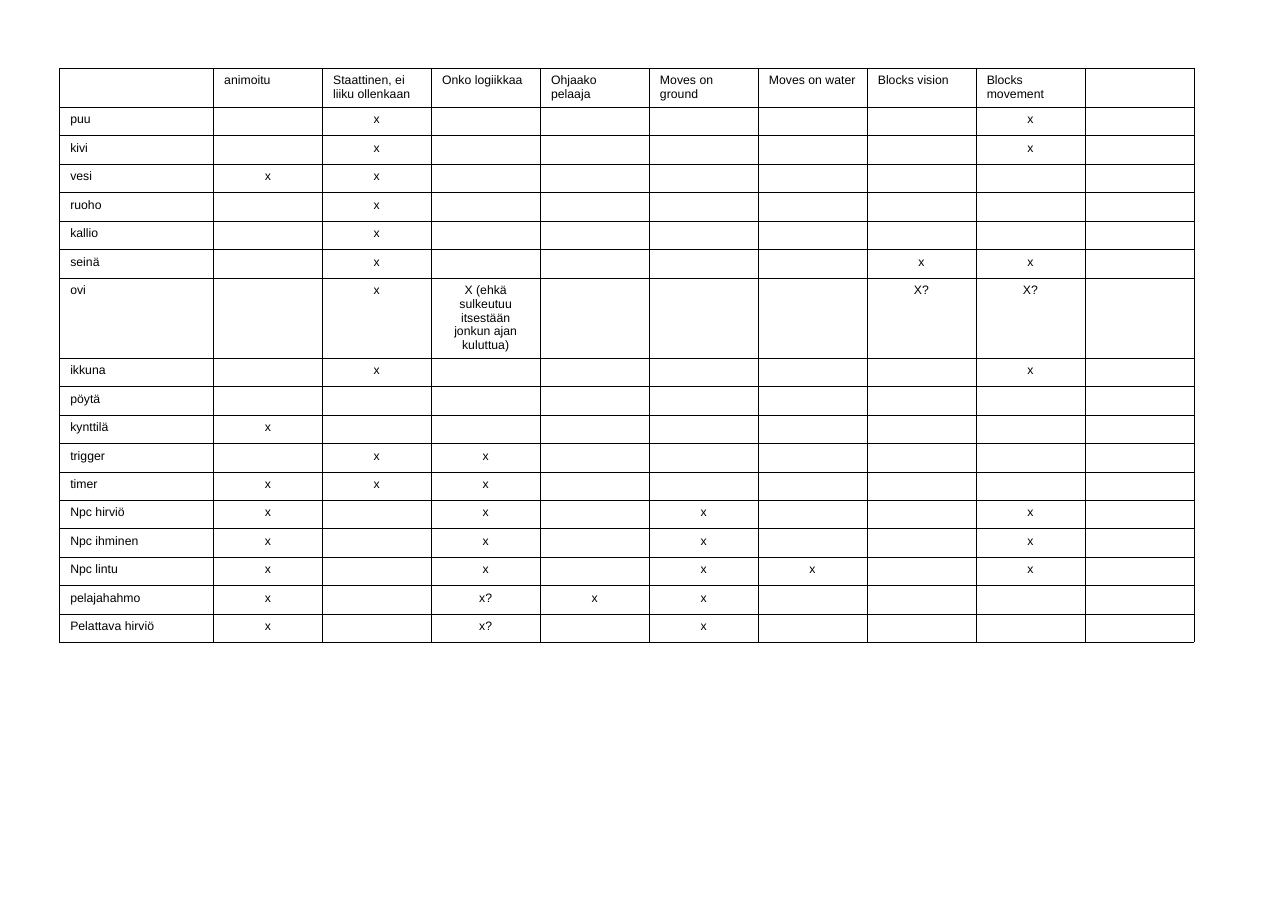
from lxml.etree import SubElement
from pptx import Presentation
from pptx.dml.color import RGBColor as Color
from pptx.enum.text import PP_ALIGN as Align
from pptx.oxml.ns import qn
from pptx.util import Cm, Pt

HEADINGS = ("", "animoitu", "Staattinen, ei liiku ollenkaan", "Onko logiikkaa", "Ohjaako pelaaja",
            "Moves on ground", "Moves on water", "Blocks vision", "Blocks movement", "")
DOOR_LOGIC = "X (ehkä sulkeutuu itsestään jonkun ajan kuluttua)"
OBJECTS = [
    ("puu", "", "x", "", "", "", "", "", "x", ""),
    ("kivi", "", "x", "", "", "", "", "", "x", ""),
    ("vesi", "x", "x", "", "", "", "", "", "", ""),
    ("ruoho", "", "x", "", "", "", "", "", "", ""),
    ("kallio", "", "x", "", "", "", "", "", "", ""),
    ("seinä", "", "x", "", "", "", "", "x", "x", ""),
    ("ovi", "", "x", DOOR_LOGIC, "", "", "", "X?", "X?", ""),
    ("ikkuna", "", "x", "", "", "", "", "", "x", ""),
    ("pöytä", "", "", "", "", "", "", "", "", ""),
    ("kynttilä", "x", "", "", "", "", "", "", "", ""),
    ("trigger", "", "x", "x", "", "", "", "", "", ""),
    ("timer", "x", "x", "x", "", "", "", "", "", ""),
    ("Npc hirviö", "x", "", "x", "", "x", "", "", "x", ""),
    ("Npc ihminen", "x", "", "x", "", "x", "", "", "x", ""),
    ("Npc lintu", "x", "", "x", "", "x", "x", "", "x", ""),
    ("pelajahahmo", "x", "", "x?", "x", "x", "", "", "", ""),
    ("Pelattava hirviö", "x", "", "x?", "", "x", "", "", "", ""),
]

THEME = {
    "font": {"name": "Arial", "size": Pt(8)},
    "text": "000000",
    "fill": "FFFFFF",
    "border": "000000",
    "border_width": Pt(0.06),
}
TABLE_FORMAT = {"first_row": False, "horz_banding": False}
CELL_FORMAT = {"margin_left": Cm(0.25), "margin_right": Cm(0.25),
               "margin_top": Cm(0.13), "margin_bottom": Cm(0.13)}

SLIDE_WIDTH, SLIDE_HEIGHT = Cm(29.7), Cm(21)
LEFT, TOP, WIDTH, HEIGHT = Cm(1.37), Cm(1.57), Cm(26.16), Cm(13.23)
NAME_WIDTH = Cm(3.55)
HEADING_HEIGHT, DOOR_HEIGHT = Cm(0.9), Cm(1.85)


def apply_format(target, values):
    for name, value in values.items():
        setattr(target, name, value)


def add_borders(cell):
    properties = cell._tc.get_or_add_tcPr()
    for side in ("L", "R", "T", "B"):
        line = SubElement(properties, qn(f"a:ln{side}"), w=str(int(THEME["border_width"])))
        fill = SubElement(line, qn("a:solidFill"))
        SubElement(fill, qn("a:srgbClr"), val=THEME["border"])


def write_text(paragraph, text):
    if text:
        run = paragraph.add_run()
        run.text = text
        apply_format(run.font, THEME["font"])
        run.font.color.rgb = Color.from_string(THEME["text"])
    else:
        size = THEME["font"]["size"].centipoints
        SubElement(paragraph._p, qn("a:endParaRPr"), sz=str(size))


def format_cell(cell, text, alignment):
    apply_format(cell, CELL_FORMAT)
    add_borders(cell)
    cell.fill.solid()
    cell.fill.fore_color.rgb = Color.from_string(THEME["fill"])
    paragraph = cell.text_frame.paragraphs[0]
    paragraph.alignment = alignment
    write_text(paragraph, text)


def add_object_table(slide):
    rows = [HEADINGS, *OBJECTS]
    table = slide.shapes.add_table(len(rows), len(HEADINGS), LEFT, TOP, WIDTH, HEIGHT).table
    apply_format(table, TABLE_FORMAT)

    mark_width = (WIDTH - NAME_WIDTH) // (len(HEADINGS) - 1)
    for index, column in enumerate(table.columns):
        column.width = mark_width if index else NAME_WIDTH

    plain_height = (HEIGHT - HEADING_HEIGHT - DOOR_HEIGHT) // (len(rows) - 2)
    special_heights = {"": HEADING_HEIGHT, "ovi": DOOR_HEIGHT}
    for row_index, texts in enumerate(rows):
        table.rows[row_index].height = special_heights.get(texts[0], plain_height)
        for column_index, text in enumerate(texts):
            alignment = Align.CENTER if row_index and column_index else Align.LEFT
            format_cell(table.cell(row_index, column_index), text, alignment)


def main():
    presentation = Presentation()
    apply_format(presentation, {"slide_width": SLIDE_WIDTH, "slide_height": SLIDE_HEIGHT})
    slide = presentation.slides.add_slide(presentation.slide_layouts[6])
    add_object_table(slide)
    presentation.save("out.pptx")


if __name__ == "__main__":
    main()
